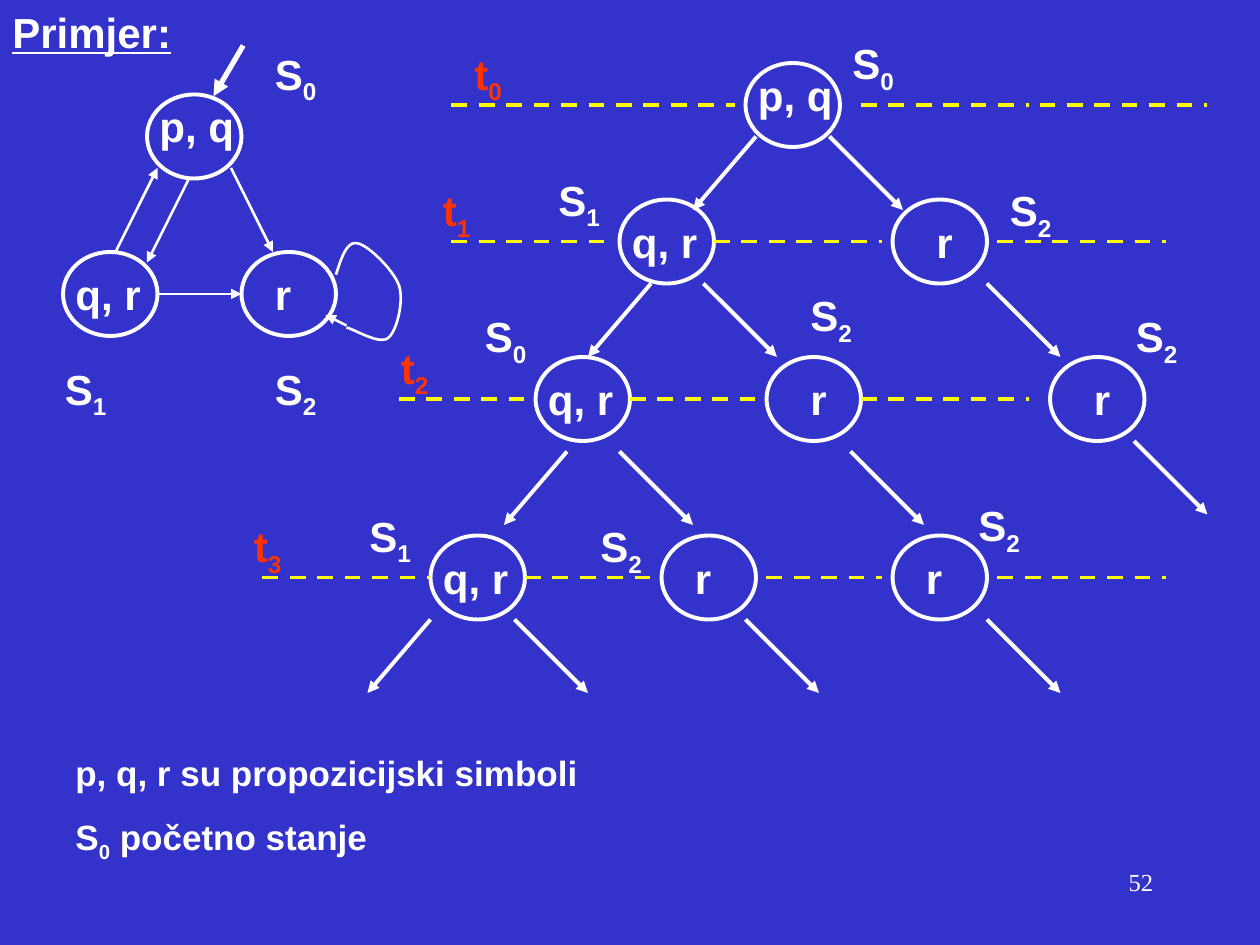
from lxml import etree
from pptx import Presentation
from pptx.dml.color import RGBColor
from pptx.enum.dml import MSO_LINE
from pptx.enum.shapes import MSO_CONNECTOR, MSO_SHAPE
from pptx.enum.text import MSO_AUTO_SIZE, PP_ALIGN
from pptx.oxml.ns import qn
from pptx.util import Pt

STRAIGHT = MSO_CONNECTOR.STRAIGHT
OVAL = MSO_SHAPE.OVAL
DASH = MSO_LINE.DASH
GROW = MSO_AUTO_SIZE.SHAPE_TO_FIT_TEXT
LEFT, RIGHT = PP_ALIGN.LEFT, PP_ALIGN.RIGHT

COLOURS = {"back": "3333CC", "white": "FFFFFF", "time": "FF3300", "level": "FFFF00"}
NODE_WIDTH, NODE_HEIGHT = 54, 48

GRAPH_NODES = [
    (84, 54, "p, q", 0, "S_0", 150, 24),
    (36, 144, "q, r", 0, "S_1", 30, 204),
    (138, 144, "r", 12, "S_2", 150, 204),
]
TREE_NODES = [
    (426, 36, "p, q", 0, "S_0", 480, 18),
    (354, 114, "q, r", 0, "S_1", 312, 96),
    (510, 114, "r", 18, "S_2", 570, 102),
    (306, 204, "q, r", 0, "S_0", 270, 174),
    (438, 204, "r", 18, "S_2", 456, 162),
    (600, 204, "r", 18, "S_2", 642, 174),
    (246, 306, "q, r", 0, "S_1", 204, 288),
    (378, 306, "r", 12, "S_2", 336, 294),
    (510, 306, "r", 12, "S_2", 552, 282),
]
GRAPH_ARROWS = [
    (108, 102, 84, 150),
    (66, 144, 90, 96),
    (132, 96, 156, 144),
    (90, 168, 138, 168),
    (198, 186, 186, 180),
]
LEFT_BRANCHES = [(432, 78), (372, 162), (324, 258), (246, 354)]
RIGHT_BRANCHES = [
    (474, 78), (402, 162), (564, 162), (354, 258), (486, 258),
    (648, 252), (294, 354), (426, 354), (564, 354),
]
LEVELS = [
    ("t_0", 264, 24, 60, [(258, 420), (492, 588), (594, 690)]),
    ("t_1", 246, 102, 138, [(258, 348), (408, 504), (570, 666)]),
    ("t_2", 222, 192, 228, [(228, 306), (360, 438), (492, 588)]),
    ("t_3", 138, 294, 330, [(150, 246), (300, 372), (438, 504), (570, 666)]),
]
LOOP_START = (192, 157)
LOOP_CURVES = [
    ((195, 147.6), (198, 138), (204, 139)),
    ((210, 139.7), (224.6, 154), (228, 163)),
    ((231, 172), (226.8, 189.4), (221.8, 193.2)),
    ((216.7, 197.3), (202.3, 188), (198, 187.2)),
]


def colour(name):
    return RGBColor.from_string(COLOURS[name])


def write(para, text, size=24, ink="white", font="Arial", bold=True,
          underline=False, align=LEFT, before=0):
    para.alignment = align
    para.space_before = Pt(before)
    base, _, rest = text.partition("_")
    for part, lowered in ((base, False), (rest[:1], True), (rest[1:], False)):
        if not part:
            continue
        span = para.add_run()
        span.text = part
        span.font.name = font
        span.font.size = Pt(size)
        span.font.bold = bold
        span.font.underline = underline
        span.font.color.rgb = colour(ink)
        if lowered:
            span._r.get_or_add_rPr().set("baseline", "-25000")


def curve_points(start, curves, steps=12):
    points = []
    for first, second, end in curves:
        for step in range(1, steps + 1):
            t = step / steps
            weights = ((1 - t) ** 3, 3 * t * (1 - t) ** 2, 3 * t * t * (1 - t), t ** 3)
            anchors = (start, first, second, end)
            points.append(tuple(
                Pt(sum(w * anchor[axis] for w, anchor in zip(weights, anchors)))
                for axis in (0, 1)))
        start = end
    return points


class Painter:
    def __init__(self, page):
        self.page = page
        self.node_line = 2.25
        self.thin_line = 1.5

    def outline(self, shape, weight, ink="white"):
        shape.line.color.rgb = colour(ink)
        shape.line.width = Pt(weight)

    def text(self, x, y, width, height, *lines, before=0, **style):
        box = self.page.shapes.add_textbox(Pt(x), Pt(y), Pt(width), Pt(height))
        frame = box.text_frame
        frame.word_wrap = True
        frame.auto_size = GROW
        for index, line in enumerate(lines):
            para = frame.add_paragraph() if index else frame.paragraphs[0]
            write(para, line, before=before if index else 0, **style)

    def label(self, x, y, text, ink="white"):
        self.text(x, y, 54, 40, text, ink=ink)

    def node(self, x, y, symbols, indent, state, state_x, state_y):
        oval = self.page.shapes.add_shape(
            OVAL, Pt(x), Pt(y), Pt(NODE_WIDTH), Pt(NODE_HEIGHT))
        oval.shadow.inherit = False
        oval.fill.background()
        self.outline(oval, self.node_line)
        drop = 0 if symbols.startswith("p") else 6
        self.text(x + indent, y + drop, 60, 36, symbols)
        self.label(state_x, state_y, state)

    def line(self, x1, y1, x2, y2, weight, ink="white"):
        line = self.page.shapes.add_connector(STRAIGHT, Pt(x1), Pt(y1), Pt(x2), Pt(y2))
        self.outline(line, weight, ink)
        etree.SubElement(line._element.spPr, qn("a:effectLst"))
        return line

    def arrow(self, x1, y1, x2, y2, weight):
        line = self.line(x1, y1, x2, y2, weight)
        etree.SubElement(line.line._get_or_add_ln(), qn("a:tailEnd"), type="triangle")

    def level(self, x1, x2, y):
        self.line(x1, y, x2, y, self.node_line, "level").line.dash_style = DASH

    def curve(self, start, curves):
        builder = self.page.shapes.build_freeform(Pt(start[0]), Pt(start[1]))
        builder.add_line_segments(curve_points(start, curves), close=False)
        shape = builder.convert_to_shape()
        shape.shadow.inherit = False
        shape.fill.background()
        self.outline(shape, self.thin_line)


def main():
    deck = Presentation()
    deck.slide_width, deck.slide_height = Pt(720), Pt(540)
    page = deck.slides.add_slide(deck.slide_layouts[6])
    page.background.fill.solid()
    page.background.fill.fore_color.rgb = colour("back")
    painter = Painter(page)

    painter.text(0, 0, 145, 36, "Primjer:", underline=True)
    for node in GRAPH_NODES + TREE_NODES:
        painter.node(*node)
    for ends in GRAPH_ARROWS:
        painter.arrow(*ends, painter.thin_line)
    painter.curve(LOOP_START, LOOP_CURVES)
    painter.arrow(139, 26, 122, 55, 3)

    for branches, reach in ((LEFT_BRANCHES, -36), (RIGHT_BRANCHES, 42)):
        for x, y in branches:
            painter.arrow(x, y, x + reach, y + 42, painter.node_line)
    for time, time_x, time_y, y, dashes in LEVELS:
        painter.label(time_x, time_y, time, "time")
        for x1, x2 in dashes:
            painter.level(x1, x2, y)

    painter.text(36, 426, 354, 71, "p, q, r su propozicijski simboli",
                 "S_0 početno stanje", size=20, before=12.5)
    painter.text(516, 492, 150, 36, "52", size=14, font="Times New Roman",
                 bold=False, align=RIGHT)
    deck.save("out.pptx")


if __name__ == "__main__":
    main()
